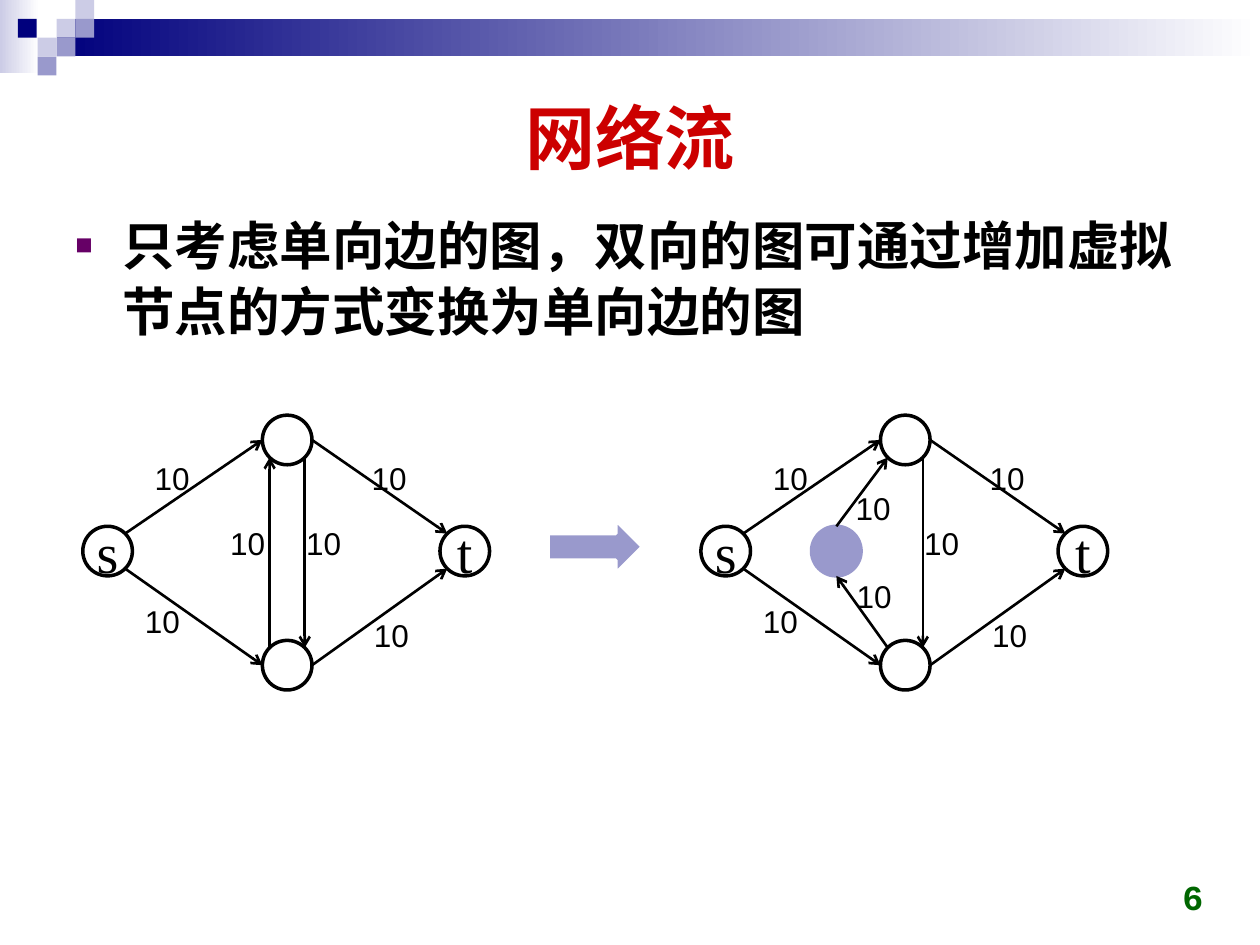
import math
import pptx
import pptx.util
import pptx.dml.color
import pptx.enum.shapes
import pptx.enum.text
import pptx.oxml.ns
import lxml.etree

Cm = pptx.util.Cm
Pt = pptx.util.Pt
RGBColor = pptx.dml.color.RGBColor
SHAPE = pptx.enum.shapes.MSO_SHAPE
ANCHOR = pptx.enum.text.MSO_ANCHOR
ALIGN = pptx.enum.text.PP_ALIGN

BLACK = RGBColor(0x00, 0x00, 0x00)
WHITE = RGBColor(0xFF, 0xFF, 0xFF)
NAVY = RGBColor(0x00, 0x00, 0x7D)
LILAC = RGBColor(0x99, 0x99, 0xCC)
PALE = RGBColor(0xCC, 0xCC, 0xE6)
RED = RGBColor(0xCC, 0x00, 0x00)
GREEN = RGBColor(0x00, 0x66, 0x00)
BULLET_COLOR = "660066"

TITLE = "网络流"
BODY = "只考虑单向边的图，双向的图可通过增加虚拟节点的方式变换为单向边的图"
PAGE_NUMBER = "6"
CAPACITY = "10"

BANDS = [((0, 0, 0.79, 1.47), PALE), ((1.14, 0.38, 24.26, 0.76), NAVY)]
TILE = 0.38
TILES = [
    (1.14, 0.38, PALE), (1.52, 0, PALE), (1.52, 0.38, LILAC),
    (0.76, 0.76, PALE), (0.36, 0.38, NAVY), (1.14, 0.76, LILAC),
    (0.76, 1.14, LILAC),
]

RADIUS = 0.5
NODES = {
    "s": (2.17, 11.11), "t": (9.37, 11.11),
    "top": (5.79, 8.87), "bottom": (5.79, 13.41),
    "virtual": (4.4, 11.11),
}
COMPASS = {"E": 0, "SE": 45, "S": 90, "SW": 135, "W": 180, "NW": 225, "N": 270, "NE": 315}
SHARED_EDGES = [
    ("s", "NE", "top", "W", (2.87, 9.12)),
    ("top", "E", "t", "NW", (7.24, 9.12)),
    ("bottom", "E", "t", "SW", (7.29, 12.29)),
    ("s", "SE", "bottom", "W", (2.67, 12.01)),
    ("top", "SE", "bottom", "NE", (5.92, 10.44)),
]
GRAPHS = [
    (0, ["s", "t", "top", "bottom"],
     [("bottom", "NW", "top", "SW", (4.39, 10.44))]),
    (12.46, ["s", "t", "top", "bottom", "virtual"],
     [("bottom", "NW", "virtual", "S", (4.56, 11.51)),
      ("virtual", "N", "top", "SW", (4.54, 9.73))]),
]


def format_text(frame, size, font, color, bold=False, align=ALIGN.LEFT):
    for para in frame.paragraphs:
        para.alignment = align
        for span in para.runs:
            span.font.size = Pt(size)
            span.font.name = font
            span.font.bold = bold
            span.font.color.rgb = color


def add_text(page, place, text, wrap=True):
    box = page.shapes.add_textbox(*map(Cm, place))
    box.text_frame.word_wrap = wrap
    box.text_frame.text = text
    return box.text_frame


def add_figure(page, kind, place, fill=None, line=None):
    figure = page.shapes.add_shape(kind, *map(Cm, place))
    figure.shadow.inherit = False
    if fill is None:
        figure.fill.background()
    else:
        figure.fill.solid()
        figure.fill.fore_color.rgb = fill
    if line is None:
        figure.line.fill.background()
    else:
        figure.line.color.rgb = line
        figure.line.width = Pt(2)
    return figure


def add_decoration(page):
    for place, start in BANDS:
        band = add_figure(page, SHAPE.RECTANGLE, place)
        band.fill.gradient()
        band.fill.gradient_angle = 0
        for stop, color, position in zip(band.fill.gradient_stops, (start, WHITE), (0, 1)):
            stop.color.rgb = color
            stop.position = position
    for left, top, color in TILES:
        add_figure(page, SHAPE.RECTANGLE, (left, top, TILE, TILE), color)


def add_title(page):
    title = page.shapes.title
    title.left, title.top, title.width, title.height = map(Cm, (1.27, 1.27, 22.86, 2.95))
    title.text_frame.text = TITLE
    title.text_frame.vertical_anchor = ANCHOR.MIDDLE
    format_text(title.text_frame, 40, "Arial", RED, True, ALIGN.CENTER)


def add_body(page):
    frame = add_text(page, (1.27, 4.11, 22.86, 13.21), BODY)
    format_text(frame, 30, "Arial", BLACK, True)
    para = frame.paragraphs[0]
    para.line_spacing = 1.05
    para.space_before = Pt(4.5)
    props = para._p.get_or_add_pPr()
    props.set("marL", str(Cm(0.95)))
    props.set("indent", str(-Cm(0.95)))
    qn = pptx.oxml.ns.qn
    color = lxml.etree.SubElement(props, qn("a:buClr"))
    lxml.etree.SubElement(color, qn("a:srgbClr"), val=BULLET_COLOR)
    lxml.etree.SubElement(props, qn("a:buSzPct"), val="55000")
    lxml.etree.SubElement(props, qn("a:buFont"), typeface="Arial")
    lxml.etree.SubElement(props, qn("a:buChar"), char="■")


def add_node(page, name, shift):
    x, y = NODES[name]
    color = LILAC if name == "virtual" else None
    place = (x + shift - RADIUS, y - RADIUS, 2 * RADIUS, 2 * RADIUS)
    node = add_figure(page, SHAPE.OVAL, place, color, color or BLACK)
    if name in ("s", "t"):
        frame = node.text_frame
        frame.margin_left = frame.margin_right = frame.margin_top = frame.margin_bottom = 0
        frame.vertical_anchor = ANCHOR.MIDDLE
        frame.text = name
        format_text(frame, 32, "Times New Roman", BLACK, align=ALIGN.CENTER)


def rim_point(name, side, shift):
    x, y = NODES[name]
    angle = math.radians(COMPASS[side])
    return Cm(x + shift + RADIUS * math.cos(angle)), Cm(y + RADIUS * math.sin(angle))


def add_edge(page, edge, shift):
    source, source_side, target, target_side, (left, top) = edge
    arrow = page.shapes.add_connector(
        pptx.enum.shapes.MSO_CONNECTOR.STRAIGHT,
        *rim_point(source, source_side, shift), *rim_point(target, target_side, shift))
    arrow.line.color.rgb = BLACK
    arrow.line.width = Pt(1.5)
    qn = pptx.oxml.ns.qn
    lxml.etree.SubElement(arrow.line._get_or_add_ln(), qn("a:tailEnd"), type="arrow")
    lxml.etree.SubElement(arrow._element.spPr, qn("a:effectLst"))
    label = add_text(page, (left + shift, top, 1.22, 1.02), CAPACITY, wrap=False)
    format_text(label, 18, "Arial", BLACK)


def main():
    deck = pptx.Presentation()
    deck.slide_width, deck.slide_height = Cm(25.4), Cm(19.05)
    page = deck.slides.add_slide(deck.slide_layouts[5])
    add_decoration(page)
    add_title(page)
    add_body(page)
    number = add_text(page, (18.59, 17.35, 5.92, 1.27), PAGE_NUMBER)
    number.vertical_anchor = ANCHOR.BOTTOM
    format_text(number, 20, "Courier New", GREEN, True, ALIGN.RIGHT)
    for shift, names, extra_edges in GRAPHS:
        for name in names:
            add_node(page, name, shift)
        for edge in SHARED_EDGES + extra_edges:
            add_edge(page, edge, shift)
    add_figure(page, SHAPE.RIGHT_ARROW, (11.05, 10.49, 1.9, 1.07), LILAC, WHITE)
    deck.save("out.pptx")


if __name__ == "__main__":
    main()
